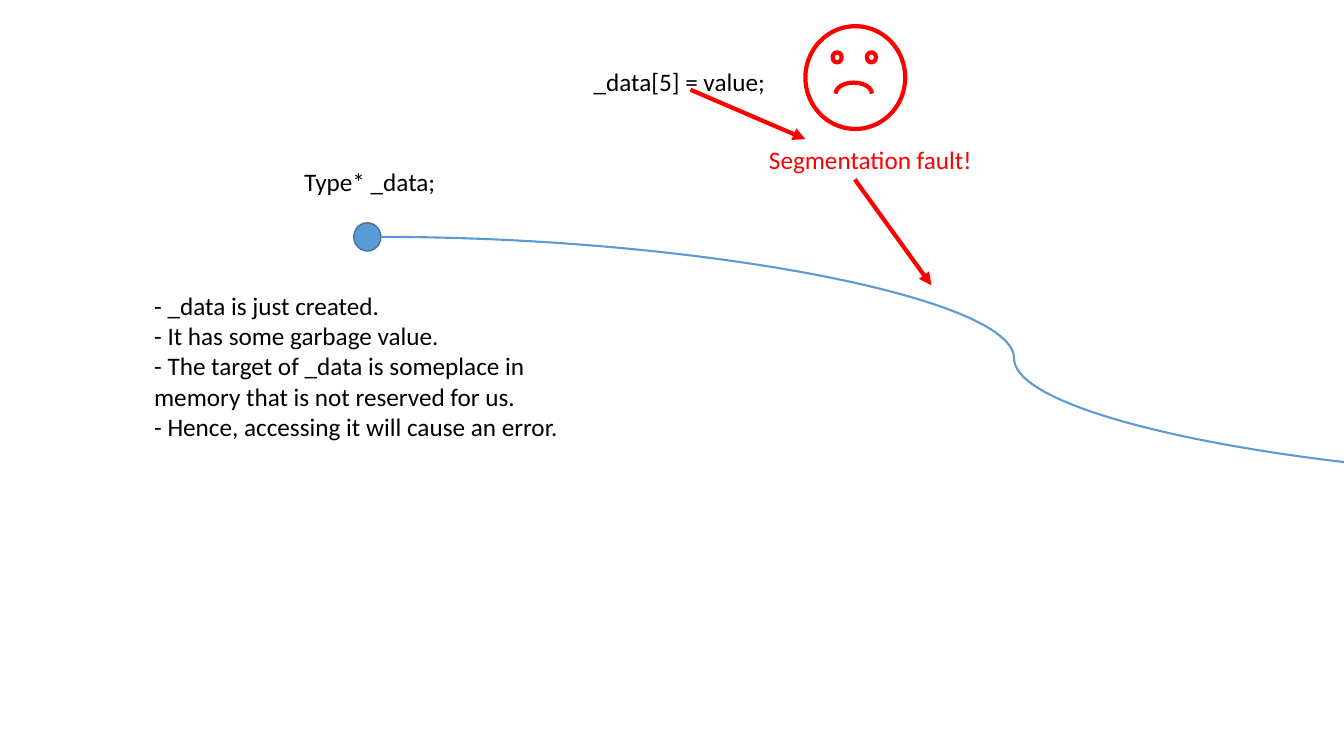
from dataclasses import dataclass

from lxml.etree import SubElement
from pptx import Presentation
from pptx.dml.color import RGBColor
from pptx.enum.shapes import MSO_CONNECTOR, MSO_SHAPE
from pptx.enum.text import MSO_AUTO_SIZE
from pptx.oxml.ns import qn
from pptx.util import Pt


@dataclass(frozen=True)
class Theme:
    """Colours, font and sizes of the slide."""
    font: str = "Calibri"
    size: int = 18
    text: str = "000000"
    paper: str = "FFFFFF"
    error: str = "FF0000"
    pointer: str = "5B9BD5"
    pointer_edge: str = "43739E"
    thin: float = 1
    medium: float = 1.5
    thick: float = 3


T = Theme()


def rgb(color):
    """Return an RGBColor for a hex string."""
    return RGBColor.from_string(color)


def set_line(sp, color, width):
    """Give a shape or connector its line colour and width."""
    sp.line.color.rgb = rgb(color)
    sp.line.width = Pt(width)


def add_text(s, box, lines, color=T.text, wrap=True):
    """Add a text box with one paragraph per line."""
    sp = s.shapes.add_textbox(*map(Pt, box))
    tf = sp.text_frame
    tf.word_wrap = wrap
    tf.auto_size = MSO_AUTO_SIZE.SHAPE_TO_FIT_TEXT
    tf.text = "\n".join(lines)
    for p in tf.paragraphs:
        p.font.name = T.font
        p.font.size = Pt(T.size)
        p.font.color.rgb = rgb(color)


def add_outline(s, kind, box, color, width, fill=None):
    """Add a preset shape with a line and an optional fill."""
    sp = s.shapes.add_shape(kind, *map(Pt, box))
    sp.shadow.inherit = False
    if fill:
        sp.fill.solid()
        sp.fill.fore_color.rgb = rgb(fill)
    else:
        sp.fill.background()
    set_line(sp, color, width)
    return sp


def add_arrow(s, start, end, color, width, kind=MSO_CONNECTOR.STRAIGHT):
    """Add a connector with a triangle head at its end."""
    sp = s.shapes.add_connector(kind, *map(Pt, start + end))
    set_line(sp, color, width)
    SubElement(sp.line._get_or_add_ln(), qn("a:tailEnd"), type="triangle")
    SubElement(sp._element.spPr, qn("a:effectLst"))


def add_sad_face(s, left, top):
    """Draw a frowning face from a head, two eyes and a mouth."""
    head = (left, top, 71.3, 73.4)
    eyes = [(left + dx, top + 18.7, 6.5, 7.2) for dx in (19.4, 43.9)]
    for box in (head, *eyes):
        add_outline(s, MSO_SHAPE.OVAL, box, T.error, T.thick, T.paper)
    mouth = add_outline(s, MSO_SHAPE.ARC, (left + 21.6, top + 40.3, 25.9, 15.8),
                        T.error, T.thick)
    mouth.adjustments[0] = 108
    mouth.adjustments[1] = 0


def main():
    """Build the slide about an uninitialised pointer."""
    prs = Presentation()
    prs.slide_width, prs.slide_height = Pt(960), Pt(540)
    s = prs.slides.add_slide(prs.slide_layouts[6])

    add_outline(s, MSO_SHAPE.OVAL, (252.7, 159.1, 19.4, 20.2),
                T.pointer_edge, T.thin, T.pointer)
    add_arrow(s, (272.2, 169.2), (1176.5, 342.7), T.pointer, T.medium,
              MSO_CONNECTOR.CURVE)

    add_text(s, (210.2, 115.2, 136.1, 29), ["Type* _data;"])
    add_text(s, (103, 203.8, 322.6, 116.6), [
        "- _data is just created.",
        "- It has some garbage value.",
        "- The target of _data is someplace in memory that is not reserved for us.",
        "- Hence, accessing it will cause an error.",
    ])
    add_text(s, (416.9, 43.9, 151.9, 29), ["_data[5] = value;"])
    add_text(s, (542.2, 99.4, 161.3, 29), ["Segmentation fault!"], T.error, False)

    add_arrow(s, (493.2, 64.1), (575.3, 99.4), T.error, T.thick)
    add_arrow(s, (610.6, 128.2), (665.3, 203.8), T.error, T.thick)
    add_sad_face(s, 575.3, 18.7)

    prs.save("out.pptx")


main()
